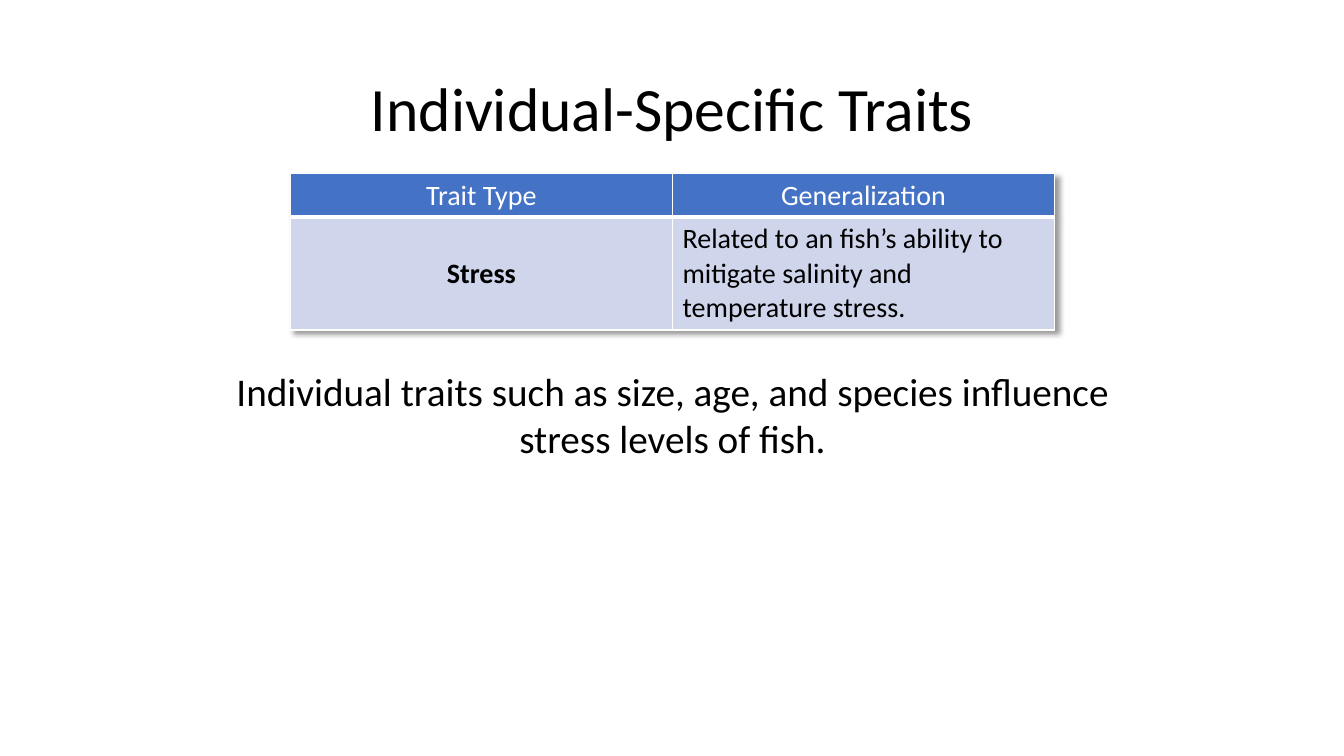
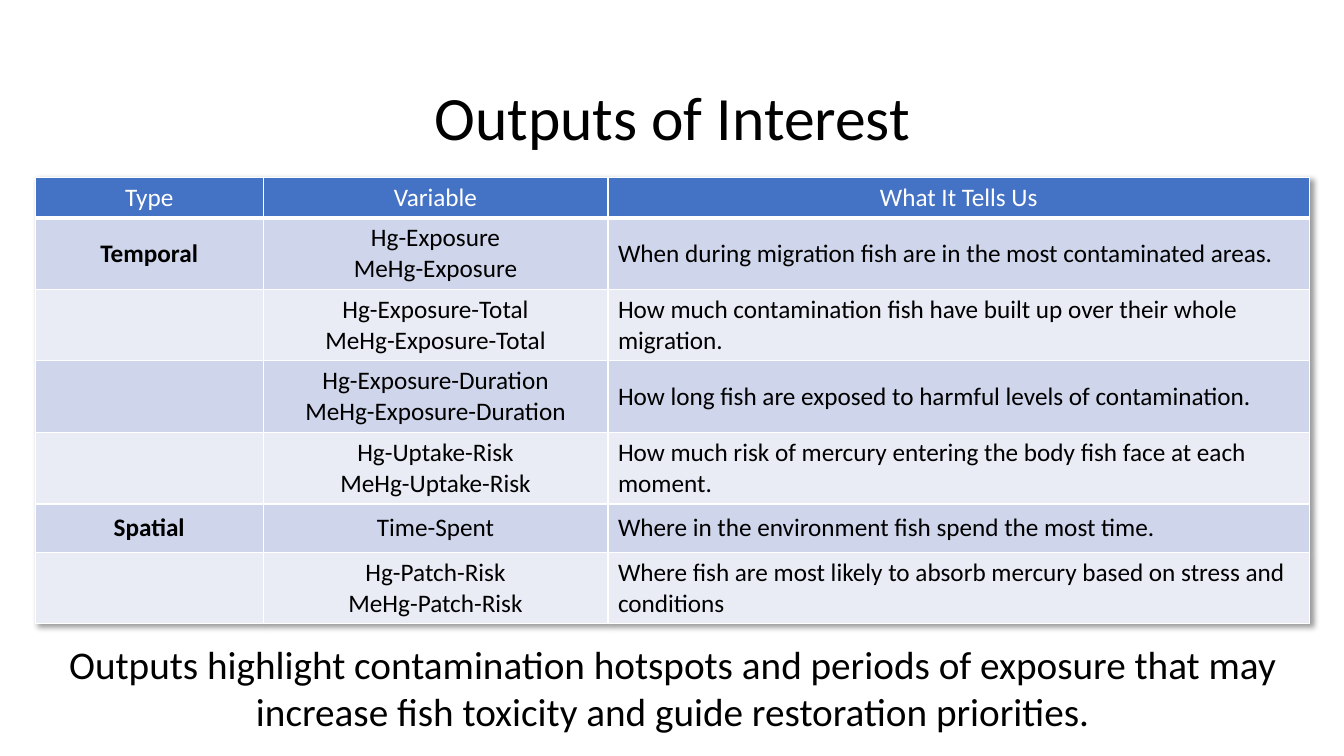
from dataclasses import dataclass

from lxml import etree
from pptx import Presentation
from pptx import util as u
from pptx.dml import color
from pptx.enum import text as t
from pptx.oxml import ns

COLOURS = {
    "text": "000000",
    "white": "FFFFFF",
    "header": "4472C4",
    "odd": "CFD5EA",
    "even": "E9EBF5",
}
FONT = "Calibri"
TITLE_SIZE = 44
SUMMARY_SIZE = 28
SHADOW = {"blurRad": u.Pt(4), "dist": u.Pt(3), "dir": 2700000, "algn": "tl", "rotWithShape": 0}


@dataclass(frozen=True)
class Area:
    left: float
    top: float
    width: float
    height: float

    def lengths(self) -> list:
        return [u.Inches(value) for value in (self.left, self.top, self.width, self.height)]


@dataclass(frozen=True)
class Grid:
    left: float
    top: float
    widths: tuple
    heights: tuple
    size: int
    rows: tuple


@dataclass(frozen=True)
class TableSlide:
    title: str
    title_top: float
    grid: Grid
    summary: str
    summary_area: Area


SLIDES = (
    TableSlide(
        "Individual-Specific Traits",
        0.38,
        Grid(2.88, 1.72, (3.79, 3.79), (0.43, 1.12), 20, (
            ("Trait Type", "Generalization"),
            ("Stress", "Related to an fish’s ability to mitigate salinity and temperature stress."),
        )),
        "Individual traits such as size, age, and species influence stress levels of fish.",
        Area(1.76, 3.59, 9.82, 1.04),
    ),
    TableSlide(
        "Outputs of Interest",
        0.47,
        Grid(0.35, 1.76, (2.26, 3.42, 6.96), (0.4, 0.71, 0.71, 0.71, 0.71, 0.48, 0.71), 18, (
            ("Type", "Variable", "What It Tells Us"),
            ("Temporal", "Hg-Exposure\nMeHg-Exposure",
             "When during migration fish are in the most contaminated areas."),
            ("", "Hg-Exposure-Total\nMeHg-Exposure-Total",
             "How much contamination fish have built up over their whole migration."),
            ("", "Hg-Exposure-Duration\nMeHg-Exposure-Duration",
             "How long fish are exposed to harmful levels of contamination."),
            ("", "Hg-Uptake-Risk\nMeHg-Uptake-Risk",
             "How much risk of mercury entering the body fish face at each moment."),
            ("Spatial", "Time-Spent", "Where in the environment fish spend the most time."),
            ("", "Hg-Patch-Risk\nMeHg-Patch-Risk",
             "Where fish are most likely to absorb mercury based on stress and conditions"),
        )),
        "Outputs highlight contamination hotspots and periods of exposure that may "
        "increase fish toxicity and guide restoration priorities.",
        Area(0.35, 6.3, 12.64, 1.04),
    ),
)


def write_text(frame, words: str, *, size: int, colour: str = "text", bold: bool = False,
               centred: bool = True, line_spacing: float = 1.0) -> None:
    for index, line in enumerate(words.split("\n")):
        para = frame.paragraphs[0] if index == 0 else frame.add_paragraph()
        para.alignment = t.PP_ALIGN.CENTER if centred else t.PP_ALIGN.LEFT
        para.line_spacing = line_spacing
        if line:
            span = para.add_run()
            span.text = line
            span.font.name = FONT
            span.font.size = u.Pt(size)
            span.font.bold = bold
            span.font.color.rgb = color.RGBColor.from_string(COLOURS[colour])


def add_text_box(page, area: Area, words: str, anchor=t.MSO_ANCHOR.TOP, **style) -> None:
    frame = page.shapes.add_textbox(*area.lengths()).text_frame
    frame.word_wrap = True
    frame.vertical_anchor = anchor
    write_text(frame, words, **style)


def add_child(parent, tag: str, **attributes):
    values = {name: str(value) for name, value in attributes.items()}
    return etree.SubElement(parent, ns.qn(tag), values)


def set_borders(cell, bottom: int) -> None:
    properties = cell._tc.get_or_add_tcPr()
    for index, (side, points) in enumerate((("L", 1), ("R", 1), ("T", 1), ("B", bottom))):
        line = add_child(properties, f"a:ln{side}", w=u.Pt(points))
        fill = add_child(line, "a:solidFill")
        add_child(fill, "a:srgbClr", val=COLOURS["white"])
        properties.insert(index, line)


def add_shadow(table) -> None:
    properties = table._tbl.tblPr
    effects = add_child(properties, "a:effectLst")
    shade = add_child(effects, "a:outerShdw", **SHADOW)
    tint = add_child(shade, "a:srgbClr", val=COLOURS["text"])
    add_child(tint, "a:alpha", val=40000)
    properties.insert(0, effects)


def add_grid(page, grid: Grid) -> None:
    area = Area(grid.left, grid.top, sum(grid.widths), sum(grid.heights))
    table = page.shapes.add_table(len(grid.heights), len(grid.widths), *area.lengths()).table
    add_shadow(table)
    for column, width in zip(table.columns, grid.widths):
        column.width = u.Inches(width)
    for row, height in zip(table.rows, grid.heights):
        row.height = u.Inches(height)
    last = len(grid.widths) - 1
    for i, row_words in enumerate(grid.rows):
        header = i == 0
        fill = "header" if header else "odd" if i % 2 else "even"
        for j, words in enumerate(row_words):
            cell = table.cell(i, j)
            cell.fill.solid()
            cell.fill.fore_color.rgb = color.RGBColor.from_string(COLOURS[fill])
            cell.vertical_anchor = t.MSO_ANCHOR.MIDDLE
            set_borders(cell, bottom=3 if header else 1)
            write_text(cell.text_frame, words, size=grid.size,
                       colour="white" if header else "text",
                       bold=not header and j == 0, centred=header or j < last)


def add_page(deck, content: TableSlide) -> None:
    page = deck.slides.add_slide(deck.slide_layouts[6])
    add_text_box(page, Area(0.92, content.title_top, 11.5, 1.45), content.title,
                 t.MSO_ANCHOR.MIDDLE, size=TITLE_SIZE, line_spacing=0.9)
    add_grid(page, content.grid)
    add_text_box(page, content.summary_area, content.summary, size=SUMMARY_SIZE)


def main() -> None:
    deck = Presentation()
    deck.slide_width = u.Inches(13.33)
    deck.slide_height = u.Inches(7.5)
    for content in SLIDES:
        add_page(deck, content)
    deck.save("out.pptx")


if __name__ == "__main__":
    main()
